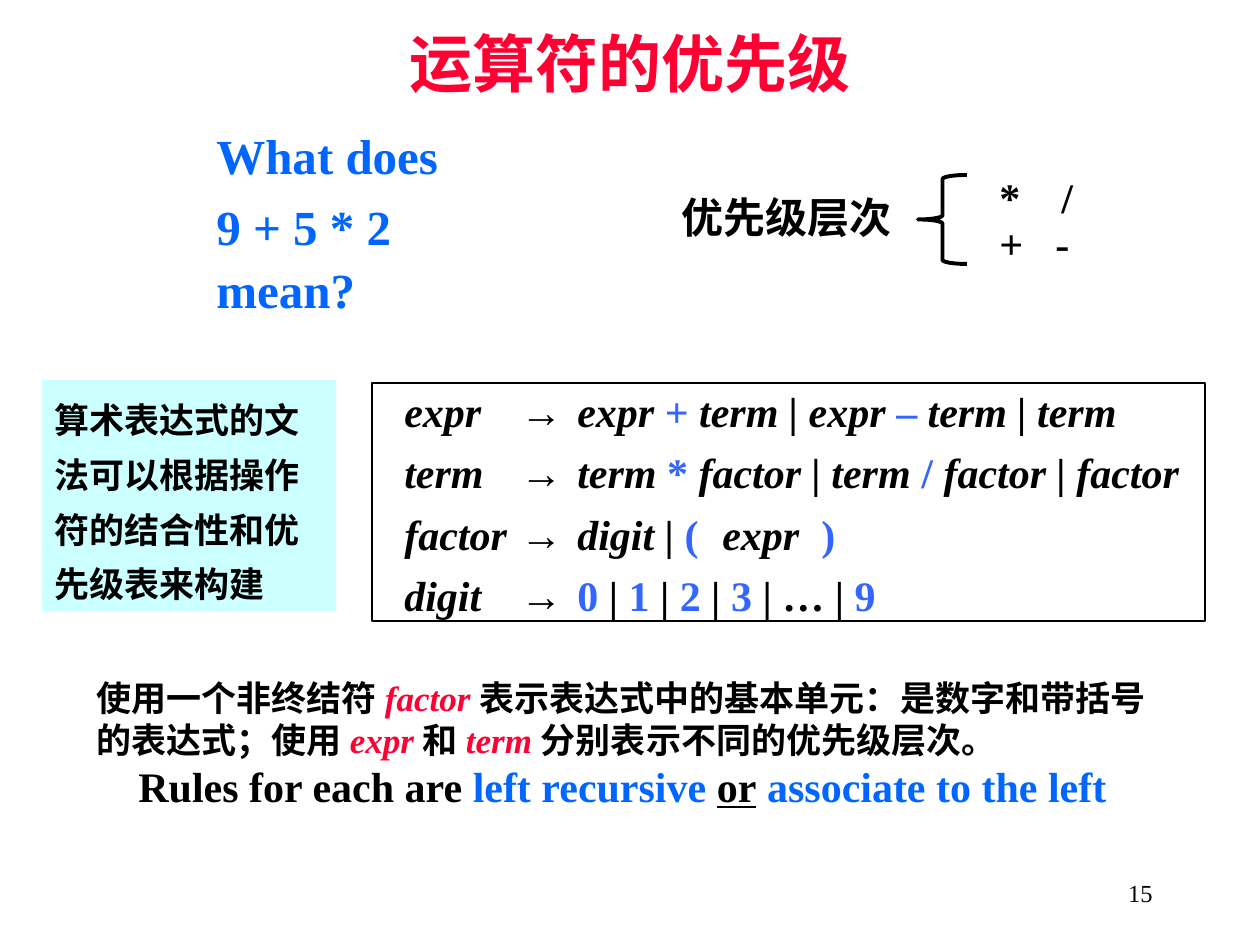
from lxml import etree
from pptx import Presentation
from pptx.dml.color import RGBColor
from pptx.enum.shapes import MSO_SHAPE
from pptx.enum.text import MSO_ANCHOR, PP_ALIGN
from pptx.oxml.ns import qn
from pptx.util import Emu, Pt

RECTANGLE, LEFT_BRACE = MSO_SHAPE.RECTANGLE, MSO_SHAPE.LEFT_BRACE
TOP, MIDDLE = MSO_ANCHOR.TOP, MSO_ANCHOR.MIDDLE
LEFT, CENTER, RIGHT = PP_ALIGN.LEFT, PP_ALIGN.CENTER, PP_ALIGN.RIGHT

BLACK = RGBColor(0x00, 0x00, 0x00)
RED = RGBColor(0xFF, 0x00, 0x33)
BLUE = RGBColor(0x00, 0x66, 0xFF)
TOKEN_BLUE = RGBColor(0x33, 0x66, 0xFF)
PALE_CYAN = RGBColor(0xCC, 0xFF, 0xFF)

SERIF, SANS = "Times New Roman", "Arial"
PX_PER_INCH = 126

# Run styles
PLAIN = {}
ITALIC = {"italic": True}
NAME = {"italic": True, "color": RED}
TOKEN = {"color": TOKEN_BLUE}
ARROW = {"name": SANS}
ACCENT = {"color": BLUE}
UNDERLINED = {"underline": True}

GRAMMAR_TABS = (116, 173, 318, 417)
TO = ("\t→\t", ARROW)
GRAMMAR = [
    [("expr", ITALIC), TO, ("expr ", ITALIC), ("+", TOKEN),
     (" term | expr ", ITALIC), ("–", TOKEN), (" term | term", ITALIC)],
    [("term", ITALIC), TO, ("term ", ITALIC), ("* ", TOKEN),
     ("factor | term ", ITALIC), ("/ ", TOKEN), ("factor | factor", ITALIC)],
    [("factor", ITALIC), TO, ("digit | ", ITALIC), ("(", TOKEN),
     ("\texpr\t", ITALIC), (")", TOKEN)],
    [("digit", ITALIC), TO, ("0", TOKEN), (" | ", PLAIN), ("1", TOKEN),
     (" | ", PLAIN), ("2", TOKEN), (" | ", PLAIN), ("3 ", TOKEN),
     ("| … | ", PLAIN), ("9", TOKEN)],
]
EXPLANATION = [
    ("使用一个非终结符 ", PLAIN), ("factor ", NAME),
    ("表示表达式中的基本单元：是数字和带括号的表达式；使用 ", PLAIN),
    ("expr ", NAME), ("和 ", PLAIN), ("term ", NAME),
    ("分别表示不同的优先级层次。", PLAIN),
]
RECURSION = [
    ("Rules for each are ", PLAIN), ("left recursive ", ACCENT),
    ("or", UNDERLINED), (" ", PLAIN), ("associate to the left", ACCENT),
]


def px(length):
    return Emu(round(length * 914400 / PX_PER_INCH))


def format_run(run, size, color=BLACK, name=SERIF, bold=True, italic=False,
               underline=False):
    font = run.font
    font.size, font.name = Pt(size), name
    font.bold, font.italic, font.underline = bold, italic, underline
    font.color.rgb = color


def set_tabs(paragraph, stops):
    tab_list = etree.SubElement(paragraph._p.get_or_add_pPr(), qn("a:tabLst"))
    for stop in stops:
        etree.SubElement(tab_list, qn("a:tab"), pos=str(px(stop)), algn="l")


def add_text_box(slide, left, top, width, height, anchor=TOP):
    """Return the text frame of a new wrapping text box."""
    box = slide.shapes.add_textbox(px(left), px(top), px(width), px(height))
    box.text_frame.word_wrap = True
    box.text_frame.vertical_anchor = anchor
    return box.text_frame


def write_paragraph(frame, runs, size, spacing=1.0, before=0, align=LEFT,
                    tabs=(), indent=0, **base):
    """Fill the empty first paragraph of the frame, or append another one."""
    first = frame.paragraphs[0]
    is_first = not first.runs
    paragraph = first if is_first else frame.add_paragraph()
    paragraph.alignment = align
    paragraph.line_spacing = spacing
    paragraph.space_before = Pt(0 if is_first else before)
    if tabs:
        set_tabs(paragraph, tabs)
    if indent:
        paragraph._p.get_or_add_pPr().set("marL", str(px(indent)))
    for text, style in runs:
        run = paragraph.add_run()
        run.text = text
        format_run(run, size, **{**base, **style})


def add_shape(slide, kind, left, top, width, height, fill=None, line_width=0):
    shape = slide.shapes.add_shape(kind, px(left), px(top), px(width), px(height))
    shape.shadow.inherit = False
    if fill is None:
        shape.fill.background()
    else:
        shape.fill.solid()
        shape.fill.fore_color.rgb = fill
    if line_width:
        shape.line.color.rgb = BLACK
        shape.line.width = Pt(line_width)
    else:
        shape.line.fill.background()
    return shape


def add_question(slide):
    frame = add_text_box(slide, 204, 135, 271, 186)
    for text, spacing in (("What does", 0.7), ("9 + 5 * 2", 0.7), ("mean?", 0.5)):
        write_paragraph(frame, [(text, PLAIN)], 28, spacing, 17.5, color=BLUE)


def add_precedence_levels(slide):
    label = add_text_box(slide, 669, 185, 242, 63)
    write_paragraph(label, [("优先级层次", PLAIN)], 24)
    add_shape(slide, LEFT_BRACE, 918, 175, 49, 89, line_width=2.25)
    operators = add_text_box(slide, 987, 165, 126, 105)
    write_paragraph(operators, [("*\t/", PLAIN)], 24, tabs=(62,))
    write_paragraph(operators, [("+\t-", PLAIN)], 24, 0.3, 15, tabs=(56,))


def add_grammar(slide):
    note = add_shape(slide, RECTANGLE, 42, 380, 294, 231, PALE_CYAN).text_frame
    note.word_wrap = True
    note.vertical_anchor = TOP
    write_paragraph(
        note, [("算术表达式的文法可以根据操作符的结合性和优先级表来构建", PLAIN)],
        20, 1.3)
    rules = add_text_box(slide, 392, 393, 809, 233)
    for rule in GRAMMAR:
        write_paragraph(rules, rule, 24, 0.7, 15, tabs=GRAMMAR_TABS)
    add_shape(slide, RECTANGLE, 372, 383, 833, 238, line_width=0.75)


def add_explanation(slide):
    frame = add_text_box(slide, 84, 670, 1103, 147)
    write_paragraph(frame, EXPLANATION, 20)
    write_paragraph(frame, RECURSION, 24, indent=42)


def main():
    presentation = Presentation()
    presentation.slide_width, presentation.slide_height = px(1260), px(945)
    slide = presentation.slides.add_slide(presentation.slide_layouts[6])

    title = add_text_box(slide, 95, 0, 1071, 125, MIDDLE)
    write_paragraph(title, [("运算符的优先级", PLAIN)], 36, align=CENTER,
                    color=RED, name=SANS)
    add_question(slide)
    add_precedence_levels(slide)
    add_grammar(slide)
    add_explanation(slide)
    number = add_text_box(slide, 903, 861, 262, 63, MIDDLE)
    write_paragraph(number, [("15", PLAIN)], 14, align=RIGHT, bold=False)

    presentation.save("out.pptx")


if __name__ == "__main__":
    main()
